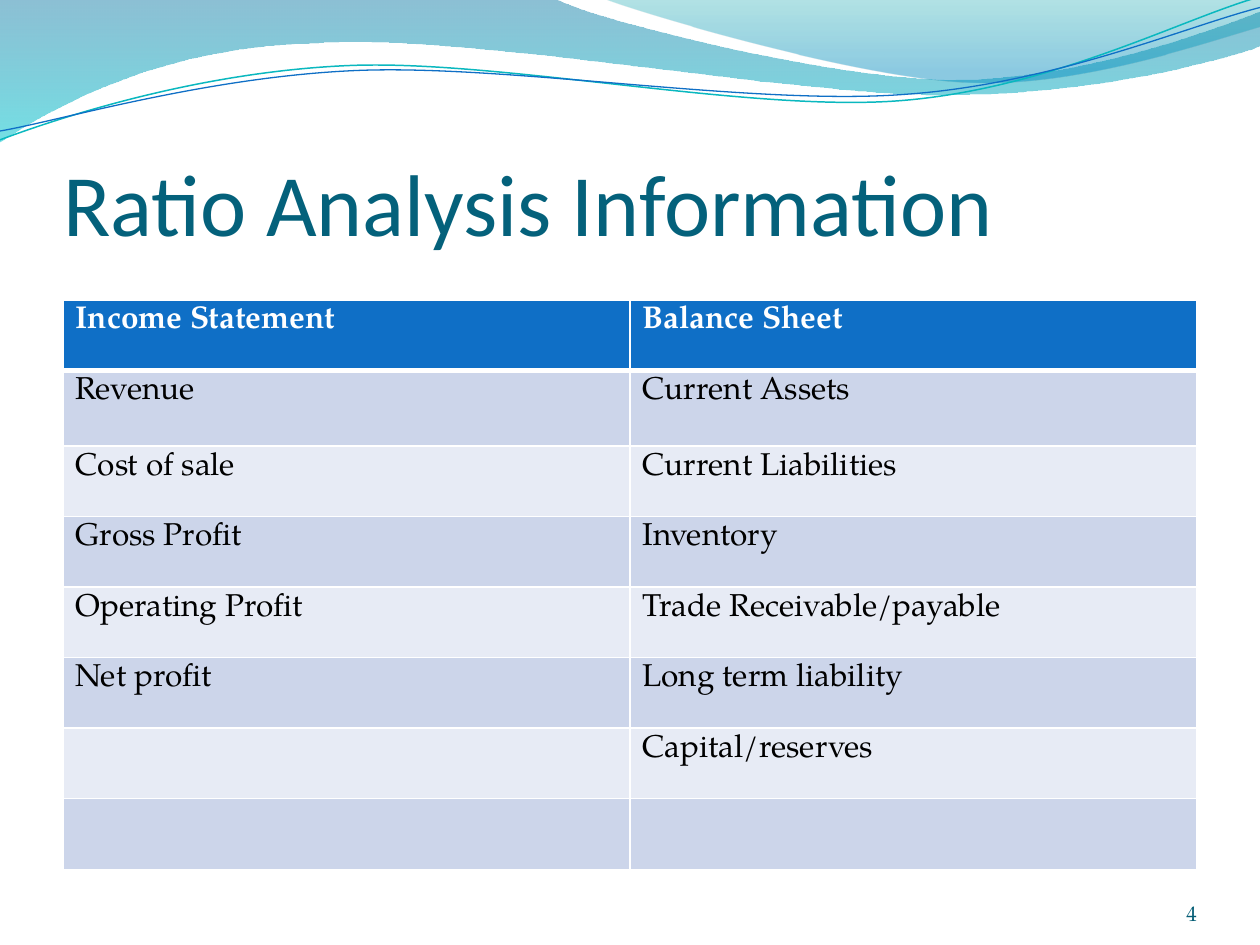
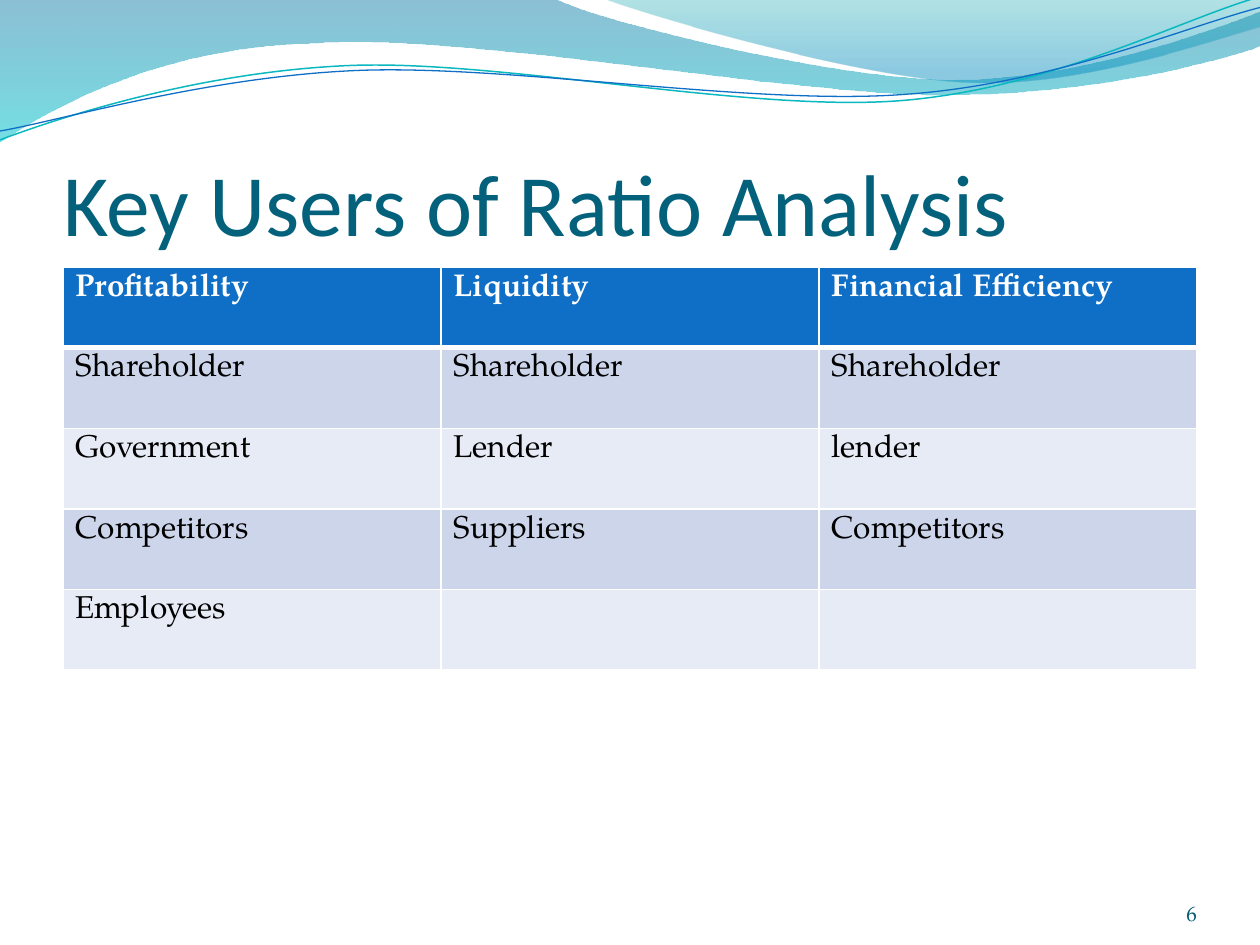
import math

from lxml import etree
from pptx import Presentation
from pptx import util as u
from pptx.dml.color import RGBColor
from pptx.enum import text
from pptx.oxml.ns import qn

# Shared look
BODY_FONT, TITLE_FONT = "TeX Gyre Pagella", "Calibri"
TITLE_COLOUR, NUMBER_COLOUR = "04617B", "045D75"
HEADER_FILL, BAND_FILLS = "0F6FC6", ("CCD5EA", "E7EBF5")
WHITE, BLACK = "FFFFFF", "000000"
MARGIN, CONTENT_WIDTH = 0.5, 9

# Wave outlines in inches: one point is a straight step, three are a curve
BROAD_WAVE = [
    [(0, 0)], [(4.4, -0.01)],
    [(4.76, 0.17), (6.64, 0.63), (7.58, 0.63)],
    [(8.53, 0.63), (9.58, 0.26), (10, 0.09)],
    [(10.01, 0.36)],
    [(9.83, 0.44), (8.7, 0.76), (7.46, 0.75)],
    [(6.22, 0.75), (3.82, 0.28), (2.57, 0.34)],
    [(1.29, 0.36), (0.46, 0.83), (-0.01, 1.13)],
    [(0, 0)],
]
RIGHT_WAVE = [
    [(4.79, -0.01)],
    [(5.09, 0.11), (6.82, 0.62), (7.69, 0.65)],
    [(8.56, 0.69), (9.61, 0.32), (10, 0.21)],
    [(10, 0)], [(4.79, -0.01)],
]
TEAL_LINE = [
    [(0, 1.11)],
    [(0.48, 0.93), (1.58, 0.57), (2.77, 0.52)],
    [(3.95, 0.47), (5.93, 0.89), (7.13, 0.8)],
    [(8.33, 0.71), (9.38, 0.15), (9.98, -0.02)],
]
BLUE_LINE = [
    [(0, 1.04)],
    [(0.47, 0.96), (1.64, 0.61), (2.83, 0.56)],
    [(4.03, 0.51), (5.97, 0.84), (7.17, 0.75)],
    [(8.36, 0.67), (9.41, 0.21), (10, 0.06)],
]
LINE_TILT = 2.7


def colour(hex_value):
    return RGBColor.from_string(hex_value)


def style_font(font, name, size, hex_value, bold=False):
    font.name, font.size, font.bold = name, u.Pt(size), bold
    font.color.rgb = colour(hex_value)


def set_insets(frame, top=0):
    frame.margin_left = frame.margin_right = frame.margin_bottom = 0
    frame.margin_top = u.Inches(top)


def add_outline(slide, outline, close):
    start, *rest = [(u.Inches(x), u.Inches(y)) for step in outline for x, y in step]
    builder = slide.shapes.build_freeform(*start)
    builder.add_line_segments(rest, close=close)
    wave = builder.convert_to_shape()
    wave.shadow.inherit = False

    # Join each run of three points into one cubic curve
    segments = iter(list(wave.element.iter(qn("a:lnTo"))))
    for step in outline[1:]:
        first, *others = [next(segments) for _ in step]
        if others:
            first.tag = qn("a:cubicBezTo")
            for segment in others:
                first.append(segment[0])
                segment.getparent().remove(segment)
    return wave


def add_wave_fill(slide, outline, stops):
    """Fill a wave from top to bottom; stops are (position, colour, opacity %)."""
    wave = add_outline(slide, outline, close=True)
    wave.line.fill.background()
    wave.fill.gradient()
    wave.fill.gradient_angle = 270
    for stop, (position, hex_value, _) in zip(wave.fill.gradient_stops, stops):
        stop.position = position
        stop.color.rgb = colour(hex_value)
    for (_, _, opacity), rgb in zip(stops, wave.element.spPr.iter(qn("a:srgbClr"))):
        etree.SubElement(rgb, qn("a:alpha"), val=str(opacity * 1000))


def level(outline, pivot):
    """Turn an outline clockwise by the tilt that its shape then takes back."""
    (px, py), angle = pivot, math.radians(LINE_TILT)
    cos, sin = math.cos(angle), math.sin(angle)
    return [[(px + (x - px) * cos - (y - py) * sin,
              py + (x - px) * sin + (y - py) * cos) for x, y in step]
            for step in outline]


def add_wave_line(slide, outline, pivot, hex_value, width):
    wave = add_outline(slide, level(outline, pivot), close=False)
    wave.rotation = 360 - LINE_TILT
    wave.fill.background()
    wave.line.color.rgb = colour(hex_value)
    wave.line.width = u.Pt(width)


def add_waves(slide):
    add_wave_fill(slide, BROAD_WAVE, [(0, "0074A1", 45), (1, "00C6CF", 55)])
    add_wave_fill(slide, RIGHT_WAVE, [(0, "00A1A9", 30), (0.8, "008BBF", 45)])
    add_wave_line(slide, TEAL_LINE, (4.99, 0.58), "0AB8BF", 0.85)
    add_wave_line(slide, BLUE_LINE, (5, 0.59), HEADER_FILL, 0.75)


def set_title(slide, wording):
    title = slide.shapes.title
    title.left, title.top = u.Inches(MARGIN), u.Inches(0.77)
    title.width, title.height = u.Inches(CONTENT_WIDTH), u.Inches(1.25)
    frame = title.text_frame
    frame.text = wording
    frame.auto_size = text.MSO_AUTO_SIZE.NONE
    frame.vertical_anchor = text.MSO_ANCHOR.BOTTOM
    set_insets(frame, top=0.05)
    heading = frame.paragraphs[0]
    heading.alignment = text.PP_ALIGN.LEFT
    style_font(heading.font, TITLE_FONT, 50, TITLE_COLOUR)


def add_page_number(slide, number):
    box = slide.shapes.add_textbox(u.Inches(8.67), u.Inches(6.95),
                                   u.Inches(0.83), u.Inches(0.4))
    frame = box.text_frame
    frame.word_wrap = True
    frame.vertical_anchor = text.MSO_ANCHOR.BOTTOM
    set_insets(frame)
    frame.text = str(number)
    frame.paragraphs[0].alignment = text.PP_ALIGN.RIGHT
    style_font(frame.paragraphs[0].font, BODY_FONT, 12, NUMBER_COLOUR)


def set_borders(cell, top, bottom):
    properties = cell._tc.get_or_add_tcPr()
    for side, width in (("L", 1), ("R", 1), ("T", top), ("B", bottom)):
        line = etree.SubElement(properties, qn(f"a:ln{side}"), w=str(u.Pt(width)))
        fill = etree.SubElement(line, qn("a:solidFill"))
        etree.SubElement(fill, qn("a:srgbClr"), val=WHITE)


def add_banded_table(slide, top, rows, heights):
    columns = len(rows[0])
    table = slide.shapes.add_table(len(rows), columns, u.Inches(MARGIN), u.Inches(top),
                                   u.Inches(CONTENT_WIDTH), u.Inches(sum(heights))).table
    for r, (entries, height) in enumerate(zip(rows, heights)):
        table.rows[r].height = u.Inches(height)
        header = r == 0
        for c, entry in enumerate(entries):
            cell = table.cell(r, c)
            cell.text = entry
            style_font(cell.text_frame.paragraphs[0].font, BODY_FONT, 18,
                       WHITE if header else BLACK, bold=header)
            # The rule under the header is heavier than the others
            set_borders(cell, top=3 if r == 1 else 1, bottom=3 if header else 1)
            cell.fill.solid()
            cell.fill.fore_color.rgb = colour(
                HEADER_FILL if header else BAND_FILLS[(r - 1) % 2])


def add_table_slide(deck, title, number, top, rows, heights):
    slide = deck.slides.add_slide(deck.slide_layouts[5])
    add_waves(slide)
    set_title(slide, title)
    add_banded_table(slide, top, rows, heights)
    add_page_number(slide, number)


def main():
    deck = Presentation()
    deck.slide_width, deck.slide_height = u.Inches(10), u.Inches(7.5)

    statement_items = [
        ("Income Statement", "Balance Sheet"),
        ("Revenue", "Current Assets"),
        ("Cost of sale", "Current Liabilities"),
        ("Gross Profit", "Inventory"),
        ("Operating Profit", "Trade Receivable/payable"),
        ("Net profit", "Long term liability"),
        ("", "Capital/reserves"),
        ("", ""),
    ]
    add_table_slide(deck, "Ratio Analysis Information", 4, 2.38, statement_items,
                    [0.56, 0.6] + [0.56] * 6)

    ratio_users = [
        ("Profitability", "Liquidity", "Financial Efficiency"),
        ("Shareholder", "Shareholder", "Shareholder"),
        ("Government", "Lender", "lender"),
        ("Competitors", "Suppliers", "Competitors"),
        ("Employees", "", ""),
    ]
    add_table_slide(deck, "Key Users of Ratio Analysis", 6, 2.12, ratio_users, [0.64] * 5)

    deck.save("out.pptx")


if __name__ == "__main__":
    main()
